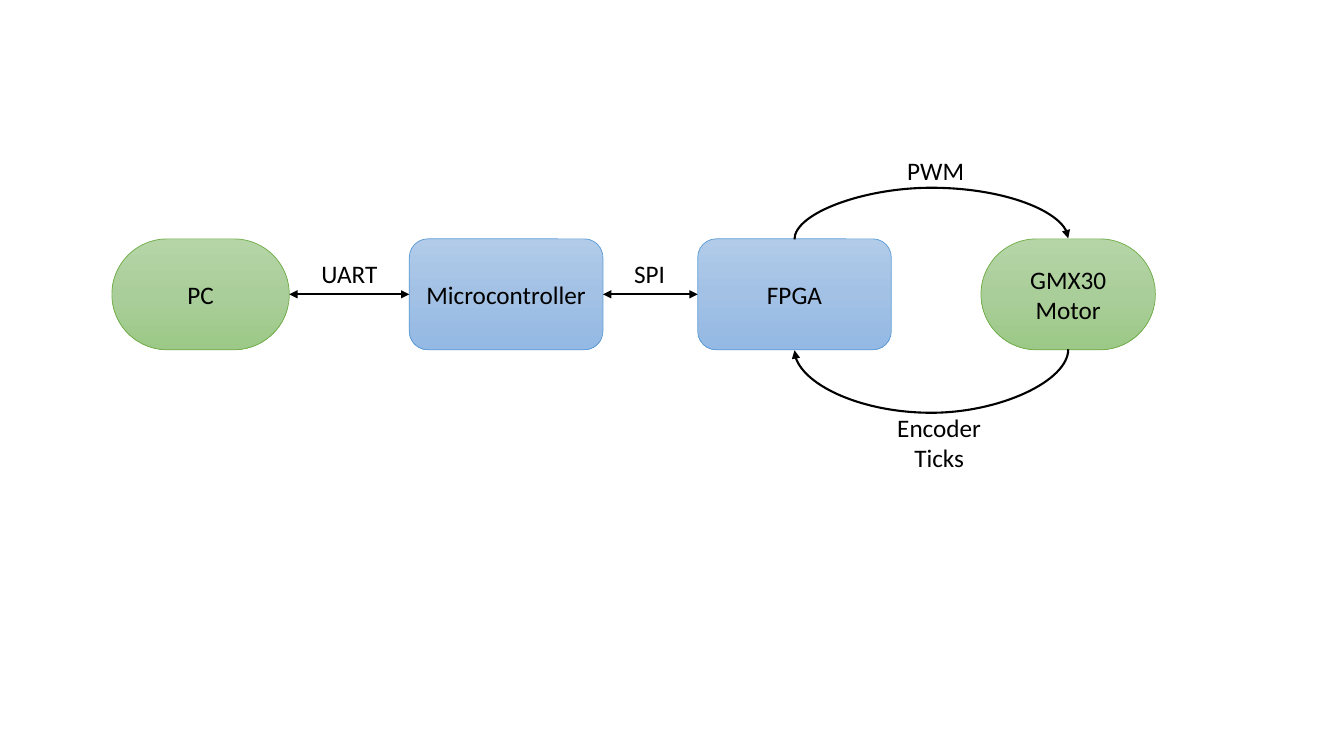
from copy import deepcopy

from lxml import etree
from pptx import Presentation
from pptx.dml.color import RGBColor
from pptx.enum.shapes import MSO_CONNECTOR, MSO_SHAPE
from pptx.enum.text import MSO_ANCHOR, PP_ALIGN
from pptx.oxml.ns import qn
from pptx.util import Inches, Pt

ROUNDED = MSO_SHAPE.ROUNDED_RECTANGLE
STRAIGHT, CURVE = MSO_CONNECTOR.STRAIGHT, MSO_CONNECTOR.CURVE
CENTER, LEFT_ALIGNED = PP_ALIGN.CENTER, PP_ALIGN.LEFT
MIDDLE = MSO_ANCHOR.MIDDLE
TOP, LEFT, BOTTOM, RIGHT = range(4)

COLORS = {
    "ink": "000000",
    "chip_top": "B1CBE9", "chip_mid": "A3C1E5", "chip_end": "93B9E4", "chip_line": "5B9BD5",
    "device_top": "B5D5A7", "device_mid": "AACE9A", "device_end": "9CC987", "device_line": "70AD47",
}
ROUNDING = {"chip": 0.1667, "device": 0.5}
FONT = "Calibri"
ROW_TOP, ROW_HEIGHT = 2.37, 1.1
CURVE_SPAN = 0.01


def color(name):
    return RGBColor.from_string(COLORS[name])


def write(text_frame, text, alignment):
    text_frame.text = text
    for paragraph in text_frame.paragraphs:
        paragraph.alignment = alignment
        paragraph.font.name = FONT
        paragraph.font.size = Pt(18)
        paragraph.font.color.rgb = color("ink")


def fill_gradient(shape, kind):
    shape.fill.gradient()
    shape.fill.gradient_angle = 270
    stop_list = shape._element.spPr.find(".//" + qn("a:gsLst"))
    stop_list.append(deepcopy(stop_list[0]))
    for index, (stop, part) in enumerate(zip(shape.fill.gradient_stops, ("top", "mid", "end"))):
        stop.position = index / 2
        stop.color.rgb = color(f"{kind}_{part}")


def add_node(slide, kind, left, width, text):
    shape = slide.shapes.add_shape(
        ROUNDED, Inches(left), Inches(ROW_TOP), Inches(width), Inches(ROW_HEIGHT))
    shape.adjustments[0] = ROUNDING[kind]
    shape.shadow.inherit = False
    fill_gradient(shape, kind)
    shape.line.color.rgb = color(f"{kind}_line")
    shape.line.width = Pt(0.5)
    shape.text_frame.vertical_anchor = MIDDLE
    write(shape.text_frame, text, CENTER)
    return shape


def add_label(slide, left, top, width, height, text, alignment=LEFT_ALIGNED, wrap=False):
    box = slide.shapes.add_textbox(Inches(left), Inches(top), Inches(width), Inches(height))
    box.text_frame.word_wrap = wrap
    write(box.text_frame, text, alignment)


def link(slide, kind, start, start_side, end, end_side, arrow_ends):
    """Join two nodes with a black line that has arrowheads at the named ends."""
    connector = slide.shapes.add_connector(kind, 0, 0, 0, 0)
    connector.begin_connect(start, start_side)
    connector.end_connect(end, end_side)
    connector.line.color.rgb = color("ink")
    connector.line.width = Pt(1.5)
    line = connector.line._get_or_add_ln()
    for arrow_end in arrow_ends:
        etree.SubElement(line, qn(f"a:{arrow_end}"), type="triangle")
    etree.SubElement(connector._element.spPr, qn("a:effectLst"))
    return connector


def add_arc(slide, start, end, side, depth):
    """Bow an arrow out of the row by depth, from one node's side to the same side of another."""
    connector = link(slide, CURVE, start, side, end, side, ["tailEnd"])
    start_x, end_x = (node.left + node.width // 2 for node in (start, end))
    edge = start.top + (start.height if side == BOTTOM else 0)
    span, reach = Inches(CURVE_SPAN), abs(end_x - start_x)
    connector.width, connector.height = span, reach
    connector.left = (start_x + end_x - span) // 2
    connector.top = edge - reach // 2
    properties = connector._element.spPr
    transform = properties.find(qn("a:xfrm"))
    transform.set("rot", str(90 * 60000))
    for flip in ("flipH", "flipV"):
        transform.set(flip, "1" if side == TOP else "0")
    guides = properties.find(qn("a:prstGeom")).find(qn("a:avLst"))
    bend = round(depth / CURVE_SPAN * 100000)
    etree.SubElement(guides, qn("a:gd"), name="adj1", fmla=f"val {bend}")


def draw_motor_control(slide):
    computer = add_node(slide, "device", 1.11, 1.76, "PC")
    controller = add_node(slide, "chip", 4.06, 1.92, "Microcontroller")
    fpga = add_node(slide, "chip", 6.92, 1.92, "FPGA")
    motor = add_node(slide, "device", 9.73, 1.73, "GMX30\nMotor")

    for start, end in ((computer, controller), (controller, fpga)):
        link(slide, STRAIGHT, start, RIGHT, end, LEFT, ["headEnd", "tailEnd"])
    add_arc(slide, fpga, motor, TOP, 0.52)
    add_arc(slide, motor, fpga, BOTTOM, 0.64)

    add_label(slide, 3.09, 2.51, 0.76, 0.4, "UART")
    add_label(slide, 6.19, 2.51, 0.52, 0.4, "SPI")
    add_label(slide, 8.9, 1.49, 0.83, 0.4, "PWM", wrap=True)
    add_label(slide, 8.65, 4.04, 1.33, 0.71, "Encoder Ticks", CENTER, wrap=True)


def main():
    presentation = Presentation()
    presentation.slide_width, presentation.slide_height = Inches(13.33), Inches(7.5)
    blank_layout = presentation.slide_layouts[6]
    draw_motor_control(presentation.slides.add_slide(blank_layout))
    presentation.save("out.pptx")


if __name__ == "__main__":
    main()
